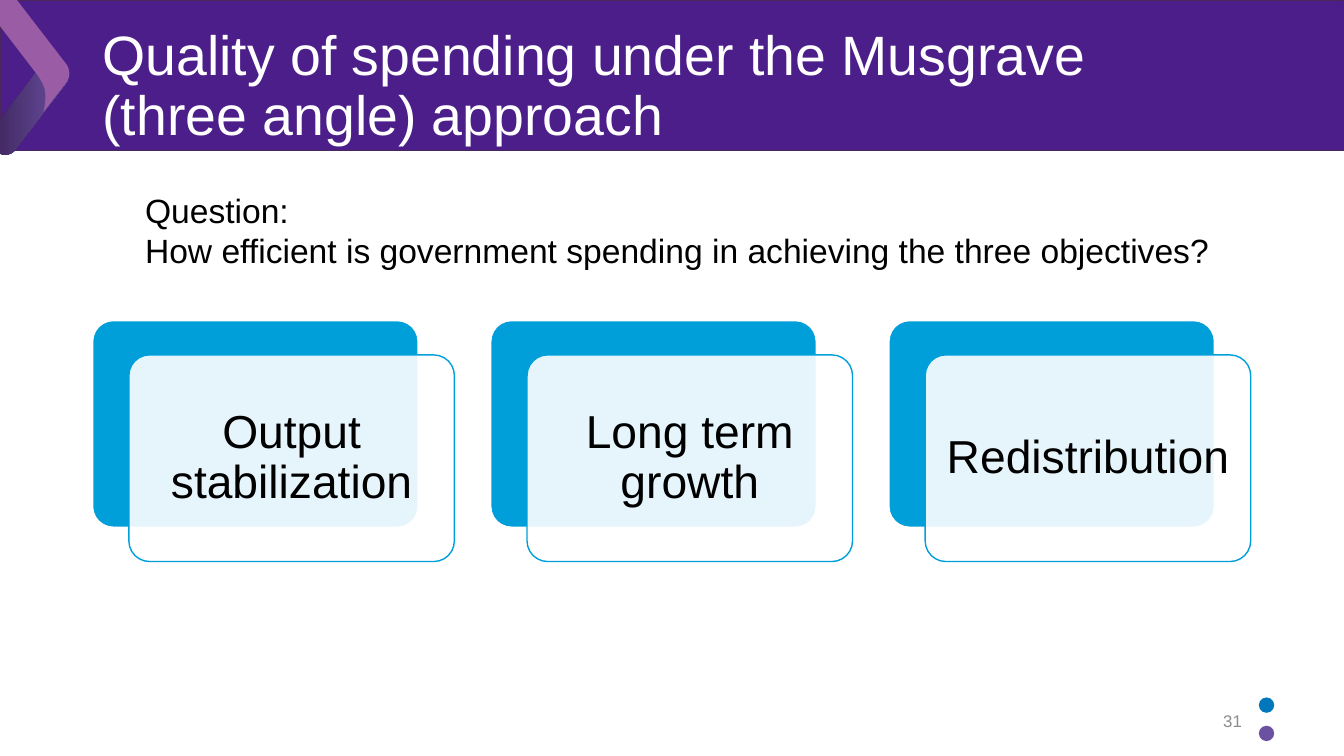
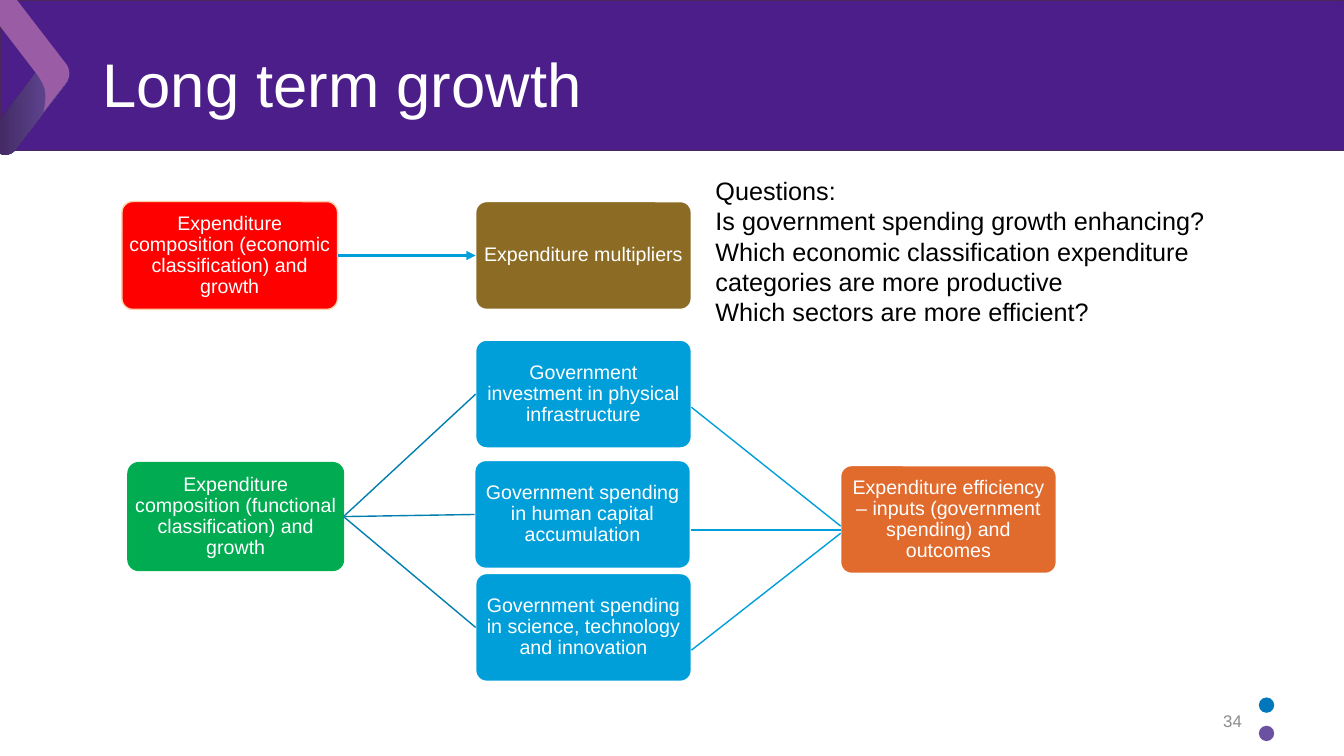
from pptx import Presentation
from pptx.dml.color import RGBColor
from pptx.enum.shapes import MSO_CONNECTOR, MSO_SHAPE
from pptx.enum.text import MSO_ANCHOR, MSO_AUTO_SIZE, PP_ALIGN
from pptx.oxml.ns import qn
from pptx.oxml.xmlchemy import OxmlElement
from pptx.util import Pt

FONT = "Arial"
WHITE = RGBColor(0xFF, 0xFF, 0xFF)
BLACK = RGBColor(0, 0, 0)
GREY = RGBColor(0x8C, 0x8C, 0x8C)
PURPLE = RGBColor(0x4C, 0x1E, 0x89)
BAND_EDGE = RGBColor(0x49, 0x27, 0x5B)
DARK_VIOLET = RGBColor(0x3D, 0x24, 0x5B)
VIOLET = RGBColor(0x6A, 0x51, 0xA2)
MAUVE = RGBColor(0x99, 0x5C, 0xA5)
DOT_BLUE = RGBColor(0, 0x76, 0xBC)
BLUE = RGBColor(0, 0x9F, 0xDA)
DEEP_BLUE = RGBColor(0, 0x7F, 0xAF)
RED = RGBColor(0xFF, 0, 0)
PEACH = RGBColor(0xFC, 0xD1, 0xA9)
GREEN = RGBColor(0, 0xAB, 0x51)
GREEN_EDGE = RGBColor(0, 0xB0, 0x50)
ORANGE = RGBColor(0xE1, 0x6A, 0x2D)
BROWN = RGBColor(0x8C, 0x6C, 0x24)

# Outlines in points: a step of one point is a line, of three a Bezier curve
LOWER_ARM = [
    [(11, 107)], [(47.5, 59)], [(50.4, 55.4), (49.7, 49.7), (45.4, 46.8)],
    [(43.2, 44.6)], [(39.6, 41.8), (33.8, 42.5), (30.2, 46)],
    [(-6.5, 94.3)], [(-9.4, 98), (-8.6, 103.7), (-4.3, 107.3)],
    [(-2.2, 108.7)], [(2.2, 111.6), (8, 111), (11, 107)],
]
UPPER_ARM = [
    [(26, 52.6)], [(-5, 12.2)], [(-8.6, 7.2), (-8, 0.7), (-3.6, -2.9)],
    [(1.4, -6.5), (8, -5), (11.5, -0.7)],
    [(47.5, 46)], [(49.7, 49), (50.4, 54), (48.2, 57.6)],
    [(47.5, 59), (31, 80), (31, 80)], [(31, 80), (33, 73.4), (32.4, 67)],
    [(32.4, 60.5), (26, 52.6), (26, 52.6)],
]
DOTS = [(498.2, DOT_BLUE), (518.4, VIOLET)]

MUSGRAVE = {
    "title": "Quality of spending under the Musgrave (three angle) approach",
    "title_size": 39.6,
    "number": "31",
    "box": (96.5, 131.8, 813, 65.5),
    "size": 24,
    "lines": [
        "Question:",
        "How efficient is government spending in achieving the three objectives?",
    ],
}
OBJECTIVES = ["Output stabilization", "Long term growth", "Redistribution"]

GROWTH = {
    "title": "Long term growth",
    "title_size": 44,
    "number": "34",
    "box": (504, 121.7, 440, 116.6),
    "size": 18,
    "lines": [
        "Questions:",
        "Is government spending growth enhancing?",
        "Which economic classification expenditure categories are more productive",
        "Which sectors are more efficient?",
    ],
}
# name: (left, top, fill, edge, text)
NODES = {
    "economic": (87.1, 144, RED, PEACH,
                 "Expenditure composition (economic classification) and growth"),
    "multipliers": (339.8, 144, BROWN, WHITE, "Expenditure multipliers"),
    "functional": (91.4, 330.5, GREEN, GREEN_EDGE,
                   "Expenditure composition (functional classification) and growth"),
    "infrastructure": (339.8, 243, BLUE, WHITE,
                       "Government investment in physical infrastructure"),
    "human capital": (339.1, 329, BLUE, WHITE,
                      "Government spending in human capital accumulation"),
    "science": (339.8, 409.7, BLUE, WHITE,
                "Government spending in science, technology and innovation"),
    "efficiency": (600.5, 332.6, ORANGE, WHITE,
                   "Expenditure efficiency – inputs (government spending) and outcomes"),
}
BRANCHES = ["infrastructure", "human capital", "science"]
EFFICIENCY_LINES = [(290.9, 375.8), (378.7, 378.7), (464.4, 380.9)]

NODE_SIZE = (154, 77)
CARD_SIZE = (232.5, 147.6)
CARD_LEFT, CARD_TOP, CARD_PITCH = 66.2, 229, 284.4
CARD_SHIFT = (25.9, 24.5)


def points(*lengths):
    return [Pt(length) for length in lengths]


def set_text(shape, lines, size, color, align=PP_ALIGN.LEFT,
             anchor=MSO_ANCHOR.TOP, spacing=1.0, margin=None):
    frame = shape.text_frame
    frame.text = "\n".join(lines)
    settings = {"word_wrap": True, "auto_size": MSO_AUTO_SIZE.NONE,
                "vertical_anchor": anchor}
    if margin is not None:
        for side in ("left", "top", "right", "bottom"):
            settings[f"margin_{side}"] = Pt(margin)
    for name, value in settings.items():
        setattr(frame, name, value)
    for paragraph in frame.paragraphs:
        paragraph.alignment = align
        paragraph.line_spacing = spacing
        for name, value in {"name": FONT, "size": Pt(size)}.items():
            setattr(paragraph.font, name, value)
        paragraph.font.color.rgb = color


def paint(shape, fill, edge=None):
    shape.shadow.inherit = False
    shape.fill.solid()
    shape.fill.fore_color.rgb = fill
    if edge is None:
        shape.line.fill.background()
    else:
        shape.line.color.rgb = edge
        shape.line.width = Pt(1)


def add_preset(slide, kind, box, fill, edge=None):
    shape = slide.shapes.add_shape(kind, *points(*box))
    paint(shape, fill, edge)
    if kind == MSO_SHAPE.ROUNDED_RECTANGLE:
        shape.adjustments[0] = 0.1
    return shape


def add_outline(slide, steps, fill, samples=8):
    """Draw a closed outline, replacing each Bezier curve by short lines."""
    current = steps[0][0]
    builder = slide.shapes.build_freeform(*points(*current), scale=1.0)
    vertices = []
    for step in steps[1:]:
        if len(step) == 1:
            vertices.append(step[0])
        else:
            controls = [current, *step]
            for index in range(1, samples + 1):
                t = index / samples
                weights = ((1 - t) ** 3, 3 * t * (1 - t) ** 2,
                           3 * t * t * (1 - t), t ** 3)
                vertices.append(tuple(
                    sum(w * control[axis] for w, control in zip(weights, controls))
                    for axis in (0, 1)))
        current = step[-1]
    builder.add_line_segments([points(*vertex) for vertex in vertices], close=True)
    shape = builder.convert_to_shape()
    paint(shape, fill)
    return shape


def add_line(slide, ends, color, width=1, arrow=False):
    connector = slide.shapes.add_connector(MSO_CONNECTOR.STRAIGHT, *points(*ends))
    connector.line.color.rgb = color
    connector.line.width = Pt(width)
    properties = connector.element.spPr
    if arrow:
        head = OxmlElement("a:tailEnd")
        head.set("type", "triangle")
        properties.find(qn("a:ln")).append(head)
    properties.append(OxmlElement("a:effectLst"))
    return connector


def join_nodes(slide, start, end, color, **style):
    """Link the right side of start to the left side of end."""
    connector = add_line(slide, (0, 0, 0, 0), color, **style)
    connector.begin_connect(start, 3)
    connector.end_connect(end, 1)


def decorate_layout(layout, slide):
    """Draw the band, chevron and dots, then move them to the layout."""
    band = add_preset(slide, MSO_SHAPE.RECTANGLE, (0, 0, 960, 107.5), PURPLE, BAND_EDGE)
    lower = add_outline(slide, LOWER_ARM, VIOLET)
    lower.fill.gradient()
    lower.fill.gradient_angle = 0
    for stop, color in zip(lower.fill.gradient_stops, (DARK_VIOLET, VIOLET)):
        stop.color.rgb = color
    upper = add_outline(slide, UPPER_ARM, MAUVE)
    dots = [add_preset(slide, MSO_SHAPE.OVAL, (899.2, top, 11, 11), color)
            for top, color in DOTS]
    for index, shape in enumerate([band, lower, upper, *dots], start=2):
        layout.shapes.element.insert(index, shape.element)


def add_slide(presentation, layout, content):
    slide = presentation.slides.add_slide(layout)
    title = slide.shapes.title
    title.left, title.top, title.width, title.height = points(66, 17.3, 820, 90)
    set_text(title, [content["title"]], content["title_size"], WHITE,
             anchor=MSO_ANCHOR.MIDDLE, spacing=0.9)
    question = slide.shapes.add_textbox(*points(*content["box"]))
    set_text(question, content["lines"], content["size"], BLACK)
    number = slide.shapes.add_textbox(*points(678.2, 500.5, 216, 28.8))
    set_text(number, [content["number"]], 12, GREY, PP_ALIGN.RIGHT, MSO_ANCHOR.MIDDLE)
    return slide


def add_label(shape, text, size, color, margin):
    set_text(shape, [text], size, color, PP_ALIGN.CENTER, MSO_ANCHOR.MIDDLE, 0.9, margin)


def add_objective_cards(slide):
    for index, objective in enumerate(OBJECTIVES):
        left = CARD_LEFT + index * CARD_PITCH
        add_preset(slide, MSO_SHAPE.ROUNDED_RECTANGLE,
                   (left, CARD_TOP, *CARD_SIZE), BLUE, WHITE)
        front = add_preset(
            slide, MSO_SHAPE.ROUNDED_RECTANGLE,
            (left + CARD_SHIFT[0], CARD_TOP + CARD_SHIFT[1], *CARD_SIZE), WHITE, BLUE)
        alpha = OxmlElement("a:alpha")
        alpha.set("val", "90000")
        front.element.spPr.find(qn("a:solidFill"))[0].append(alpha)
        add_label(front, objective, 33, BLACK, 10)


def add_growth_diagram(slide):
    nodes = {}
    for name, (left, top, fill, edge, text) in NODES.items():
        nodes[name] = add_preset(slide, MSO_SHAPE.ROUNDED_RECTANGLE,
                                 (left, top, *NODE_SIZE), fill, edge)
        add_label(nodes[name], text, 14, WHITE, 0.9)
    join_nodes(slide, nodes["economic"], nodes["multipliers"], BLUE,
               width=2.25, arrow=True)
    for branch in BRANCHES:
        join_nodes(slide, nodes["functional"], nodes[branch], DEEP_BLUE)
    for start, end in EFFICIENCY_LINES:
        add_line(slide, (493.9, start, 600.5, end), BLUE)


def main():
    presentation = Presentation()
    presentation.slide_width, presentation.slide_height = points(960, 540)
    layout = presentation.slide_layouts[5]
    musgrave = add_slide(presentation, layout, MUSGRAVE)
    decorate_layout(layout, musgrave)
    add_objective_cards(musgrave)
    add_growth_diagram(add_slide(presentation, layout, GROWTH))
    presentation.save("out.pptx")


if __name__ == "__main__":
    main()
